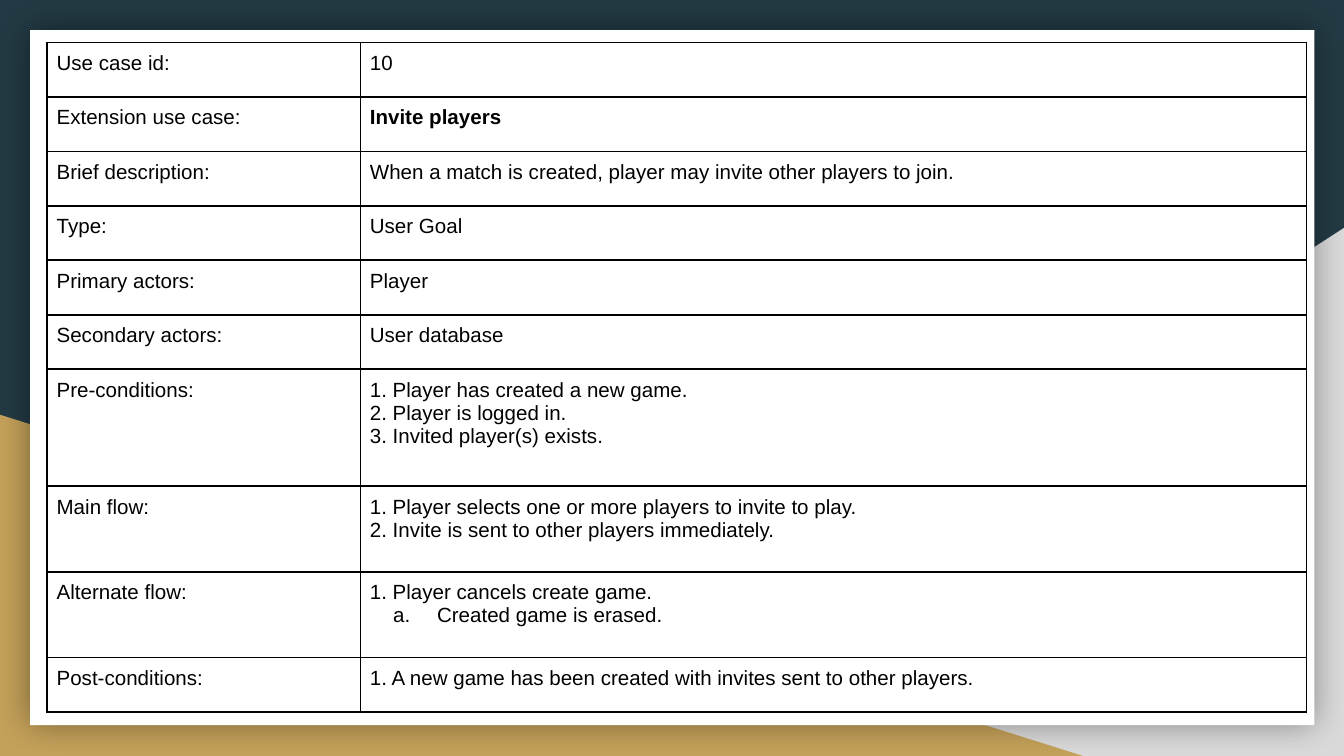
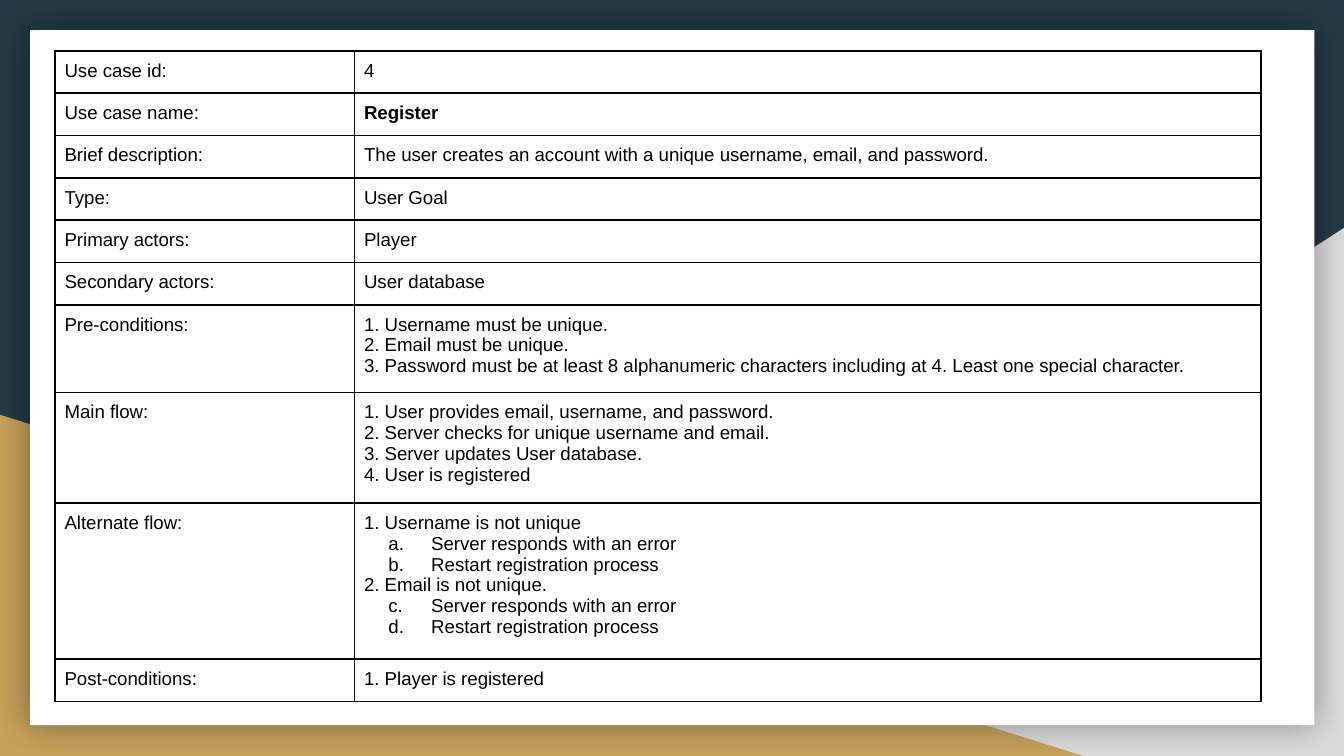
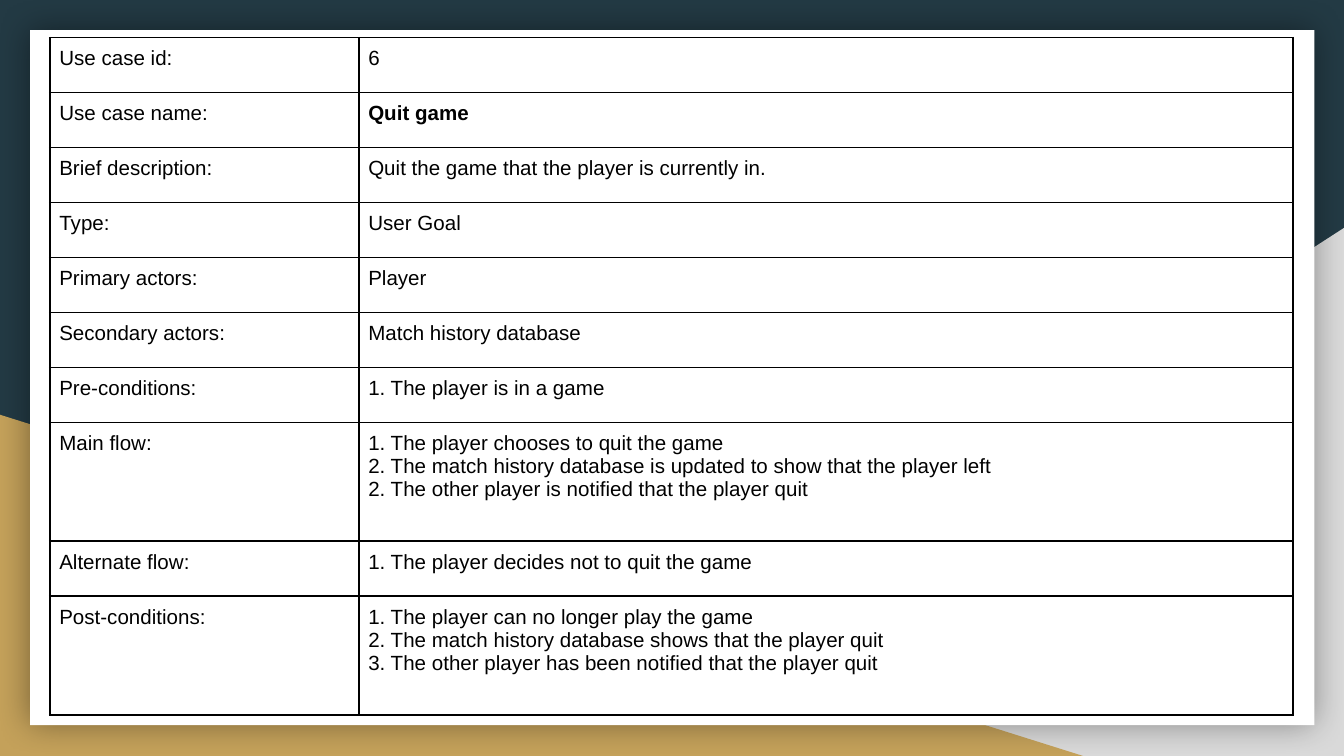
"""Build three use case slides, each one table on a shared white card."""
from dataclasses import dataclass
from typing import List, Tuple

from lxml.etree import SubElement as Sub
from pptx import Presentation
from pptx.dml.color import RGBColor
from pptx.enum.shapes import MSO_SHAPE as Kind
from pptx.oxml.ns import qn
from pptx.util import Cm, Pt

NAVY = RGBColor(0x23, 0x3A, 0x44)
GREY = RGBColor(0xD9, 0xD9, 0xD9)
GOLD = RGBColor(0xC4, 0xA1, 0x5A)
WHITE = RGBColor(0xFF, 0xFF, 0xFF)
BLACK = RGBColor(0x00, 0x00, 0x00)
FONT = "Arial"
PAD = Cm(0.18)


@dataclass
class Panel:
    kind: Kind
    box: Tuple[float, float, float, float]
    color: RGBColor
    flip: bool = False
    glow: bool = False


@dataclass
class Line:
    text: str
    bold: bool = False
    nested: bool = False


@dataclass
class Case:
    left: float
    top: float
    cols: Tuple[float, float]
    base: float
    step: float
    size: int
    hang: float
    title: str
    cells: List[List[Line]]


PANELS = [
    Panel(Kind.RIGHT_TRIANGLE, (9.96, 4.31, 15.44, 9.98), GREY, flip=True),
    Panel(Kind.RIGHT_TRIANGLE, (0, 7.84, 20.47, 6.45), GOLD),
    Panel(Kind.RECTANGLE, (0.57, 0.57, 24.27, 13.14), WHITE, glow=True),
]


def plain(*texts: str) -> List[Line]:
    return [Line(text) for text in texts]


def bold(text: str) -> List[Line]:
    return [Line(text, bold=True)]


def group(head: str, *texts: str) -> List[Line]:
    return [Line(head)] + [Line(text, nested=True) for text in texts]


ERROR = ("Server responds with an error", "Restart registration process")

CASES = [
    Case(0.89, 0.8, (5.92, 17.88), 1.03, 0.59, 11, 0.83, "Extension use case:", [
        plain("10"),
        bold("Invite players"),
        plain("When a match is created, player may invite other players to join."),
        plain("User Goal"),
        plain("Player"),
        plain("User database"),
        plain("1. Player has created a new game.",
              "2. Player is logged in.",
              "3. Invited player(s) exists."),
        plain("1. Player selects one or more players to invite to play.",
              "2. Invite is sent to other players immediately."),
        group("1. Player cancels create game.", "Created game is erased."),
        plain("1. A new game has been created with invites sent to other players."),
    ]),
    Case(1.04, 0.96, (5.66, 17.13), 0.8, 0.43, 10, 0.81, "Use case name:", [
        plain("4"),
        bold("Register"),
        plain("The user creates an account with a unique username, email, and password."),
        plain("User Goal"),
        plain("Player"),
        plain("User database"),
        plain("1. Username must be unique.",
              "2. Email must be unique.",
              "3. Password must be at least 8 alphanumeric characters "
              "including at 4. Least one special character."),
        plain("1. User provides email, username, and password.",
              "2. Server checks for unique username and email.",
              "3. Server updates User database.",
              "4. User is registered"),
        group("1. Username is not unique", *ERROR)
        + group("2. Email is not unique.", *ERROR),
        plain("1. Player is registered"),
    ]),
    Case(0.94, 0.71, (5.84, 17.66), 1.04, 0.6, 11, 0.83, "Use case name:", [
        plain("6"),
        bold("Quit game"),
        plain("Quit the game that the player is currently in."),
        plain("User Goal"),
        plain("Player"),
        plain("Match history database"),
        plain("1. The player is in a game"),
        plain("1. The player chooses to quit the game",
              "2. The match history database is updated to show that the player left",
              "2. The other player is notified that the player quit"),
        plain("1. The player decides not to quit the game"),
        plain("1. The player can no longer play the game",
              "2. The match history database shows that the player quit",
              "3. The other player has been notified that the player quit"),
    ]),
]


def labels(case: Case) -> List[str]:
    return ["Use case id:", case.title, "Brief description:", "Type:",
            "Primary actors:", "Secondary actors:", "Pre-conditions:",
            "Main flow:", "Alternate flow:", "Post-conditions:"]


def tint(node, color: RGBColor):
    return Sub(node, qn("a:srgbClr"), val=str(color))


def draw_panel(slide, panel: Panel):
    shape = slide.shapes.add_shape(panel.kind, *map(Cm, panel.box))
    shape.shadow.inherit = False
    shape.fill.solid()
    shape.fill.fore_color.rgb = panel.color
    shape.line.fill.background()
    props = shape.element.spPr
    if panel.flip:
        props.find(qn("a:xfrm")).set("flipH", "1")
    if panel.glow:
        shade = Sub(props.find(qn("a:effectLst")), qn("a:outerShdw"),
                    blurRad=str(Pt(18)), dist="0", dir="0",
                    algn="ctr", rotWithShape="0")
        Sub(tint(shade, BLACK), qn("a:alpha"), val="40000")
    return shape


def set_back(deck, layout, slide) -> None:
    fill = deck.slide_master.background.fill
    fill.solid()
    fill.fore_color.rgb = NAVY
    for holder in list(layout.placeholders):
        layout.shapes.element.remove(holder.element)
    for panel in PANELS:
        layout.shapes.element.append(draw_panel(slide, panel).element)


def set_list(para, hang: float) -> None:
    props = para._p.get_or_add_pPr()
    props.set("marL", str(Cm(1.27)))
    props.set("indent", str(-Cm(hang)))
    tint(Sub(props, qn("a:buClr")), BLACK)
    Sub(props, qn("a:buFont"), typeface=FONT)
    Sub(props, qn("a:buAutoNum"), type="alphaLcPeriod")


def set_frame(cell) -> None:
    props = cell._tc.get_or_add_tcPr()
    for side in "LRTB":
        edge = Sub(props, qn(f"a:ln{side}"), w=str(Pt(1)))
        tint(Sub(edge, qn("a:solidFill")), BLACK)
    cell.fill.background()
    cell.margin_left = cell.margin_right = PAD
    cell.margin_top = cell.margin_bottom = PAD


def fill_cell(cell, lines: List[Line], case: Case) -> None:
    set_frame(cell)
    frame = cell.text_frame
    for rank, line in enumerate(lines):
        para = frame.add_paragraph() if rank else frame.paragraphs[0]
        if line.nested:
            set_list(para, case.hang)
        run = para.add_run()
        run.text = line.text
        run.font.name = FONT
        run.font.size = Pt(case.size)
        run.font.bold = line.bold
        run.font.color.rgb = BLACK


def draw_case(slide, case: Case) -> None:
    highs = [case.base + case.step * (len(lines) - 1) for lines in case.cells]
    grid = slide.shapes.add_table(
        len(highs), len(case.cols), Cm(case.left), Cm(case.top),
        Cm(sum(case.cols)), Cm(sum(highs))).table
    grid.first_row = grid.horz_banding = False
    for col, wide in zip(grid.columns, case.cols):
        col.width = Cm(wide)
    for row, high, label, lines in zip(grid.rows, highs, labels(case), case.cells):
        row.height = Cm(high)
        fill_cell(row.cells[0], plain(label), case)
        fill_cell(row.cells[1], lines, case)


def main() -> None:
    deck = Presentation()
    deck.slide_width, deck.slide_height = Cm(25.4), Cm(14.29)
    layout = deck.slide_layouts[6]
    slides = [deck.slides.add_slide(layout) for _ in CASES]
    set_back(deck, layout, slides[0])
    for slide, case in zip(slides, CASES):
        draw_case(slide, case)
    deck.save("out.pptx")


main()
